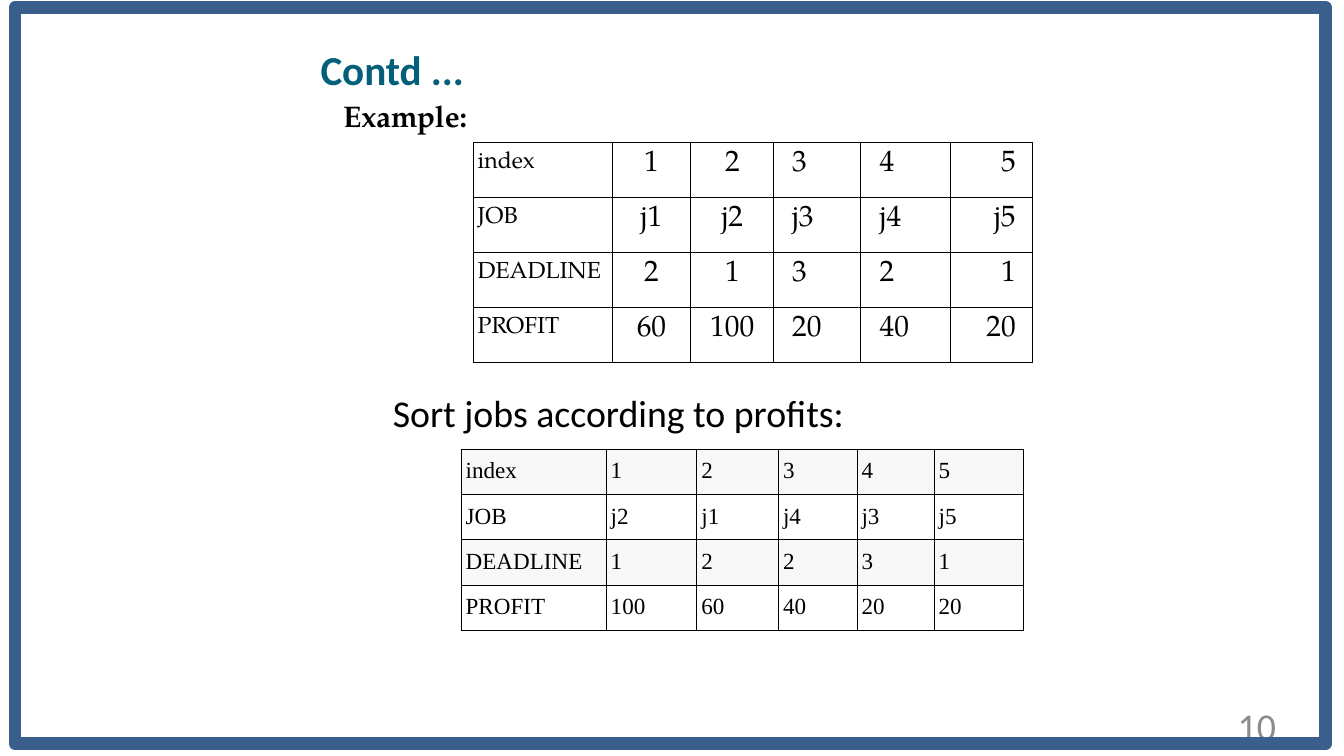
import pptx
import pptx.util
import pptx.dml.color
import pptx.enum.text
import pptx.enum.shapes
import pptx.oxml
import pptx.oxml.ns

Inches, Pt = pptx.util.Inches, pptx.util.Pt
RGB = pptx.dml.color.RGBColor
ALIGN = pptx.enum.text.PP_ALIGN
LEFT, MID, RIGHT = ALIGN.LEFT, ALIGN.CENTER, ALIGN.RIGHT

TEAL = RGB(0x04, 0x60, 0x7A)
BLACK = RGB(0, 0, 0)
GRAY = RGB(0x8C, 0x8C, 0x8C)
PALE = RGB(0xF8, 0xF8, 0xF8)
BLUE = RGB(0x3A, 0x5F, 0x8C)
SANS, BOOK, ROMAN = "Calibri", "TeX Gyre Pagella", "Times New Roman"

# Content
HEADS = [
    ("Contd ...", dict(size=19.6, font=SANS, color=TEAL, bold=True, indent=0.02, before=4.9)),
    ("Example:", dict(size=14.2, font=BOOK, bold=True, indent=0.17, before=2.3)),
]
NOTE = "Sort jobs according to profits:"
PAGE = "10"
JOBS = [
    ["index", "1", "2", "3", "4", "5"],
    ["JOB", "j1", "j2", "j3", "j4", "j5"],
    ["DEADLINE", "2", "1", "3", "2", "1"],
    ["PROFIT", "60", "100", "20", "40", "20"],
]
SORTED = [
    ["index", "1", "2", "3", "4", "5"],
    ["JOB", "j2", "j1", "j4", "j3", "j5"],
    ["DEADLINE", "1", "2", "2", "3", "1"],
    ["PROFIT", "100", "60", "40", "20", "20"],
]

# Column formats: alignment, left indent, right margin, size, top margin
LABEL = (LEFT, 0.03, 0, 11, 0.06)
JOB_COLS = [
    LABEL,
    (MID, 0, 0, 14, 0.05),
    (MID, 0, 0, 14, 0.05),
    (LEFT, 0.12, 0, 14, 0.05),
    (LEFT, 0.13, 0, 14, 0.05),
    (RIGHT, 0, 0.11, 14, 0.05),
]


def write(par, text, size=18, font=SANS, color=BLACK, bold=False,
          align=LEFT, indent=0, before=0):
    par.alignment = align
    par.space_before = Pt(before)
    props = par._p.get_or_add_pPr()
    props.set("marL", str(Inches(indent)))
    props.set("indent", "0")
    run = par.add_run()
    run.text = text
    run.font.size, run.font.name, run.font.bold = Pt(size), font, bold
    run.font.color.rgb = color


def inset(box, left=0, top=0, right=0, low=0):
    box.margin_left, box.margin_top = Inches(left), Inches(top)
    box.margin_right, box.margin_bottom = Inches(right), Inches(low)


def place(shape, left, top, width, height):
    shape.left, shape.top = Inches(left), Inches(top)
    shape.width, shape.height = Inches(width), Inches(height)


def border(cell):
    props = cell._tc.get_or_add_tcPr()
    for spot, side in enumerate(("lnL", "lnR", "lnT", "lnB")):
        props.insert(spot, pptx.oxml.parse_xml(
            f'<a:{side} {pptx.oxml.ns.nsdecls("a")} w="{Pt(0.5)}"><a:solidFill>'
            f'<a:srgbClr val="{BLACK}"/></a:solidFill></a:{side}>'))


def draw_table(slide, data, left, top, widths, high, cols, font, band=None):
    frame = slide.shapes.add_table(
        len(data), len(widths), Inches(left), Inches(top),
        Inches(sum(widths)), Inches(high * len(data)))
    table = frame.table
    table.first_row = table.horz_banding = False
    for col, width in zip(table.columns, widths):
        col.width = Inches(width)
    for r, line in enumerate(data):
        table.rows[r].height = Inches(high)
        for c, text in enumerate(line):
            align, indent, right, size, gap = cols[c]
            cell = table.cell(r, c)
            inset(cell, top=gap, right=right)
            if band and r % 2 == 0:
                cell.fill.solid()
                cell.fill.fore_color.rgb = band
            else:
                cell.fill.background()
            border(cell)
            write(cell.text_frame.paragraphs[0], text, size=size, font=font,
                  align=align, indent=indent, before=2.2)


def text_box(slide, text, spot, pad, **look):
    box = slide.shapes.add_textbox(0, 0, 0, 0)
    place(box, *spot)
    box.text_frame.word_wrap = True
    inset(box.text_frame, *pad)
    write(box.text_frame.paragraphs[0], text, **look)


def main():
    deck = pptx.Presentation()
    deck.slide_width, deck.slide_height = Inches(8.89), Inches(5)
    slide = deck.slides.add_slide(deck.slide_layouts[5])

    # Title and subhead
    title = slide.shapes.title
    place(title, 2.1, 0.22, 1.06, 0.67)
    frame = title.text_frame
    frame.auto_size = pptx.enum.text.MSO_AUTO_SIZE.NONE
    frame.vertical_anchor = pptx.enum.text.MSO_ANCHOR.TOP
    frame.word_wrap = True
    inset(frame, top=0.07)
    for i, (text, look) in enumerate(HEADS):
        write(frame.add_paragraph() if i else frame.paragraphs[0], text, **look)

    # Job tables
    draw_table(slide, JOBS, 3.13, 0.94, [0.92, 0.52, 0.55, 0.57, 0.6, 0.54],
               0.365, JOB_COLS, BOOK)
    draw_table(slide, SORTED, 3.05, 2.97, [0.96, 0.6, 0.54, 0.52, 0.51, 0.59],
               0.3, [LABEL] * 6, ROMAN, band=PALE)

    # Note and page number
    text_box(slide, NOTE, (2.5, 2.53, 3.88, 0.4), (0.1, 0.05, 0.1, 0.05))
    text_box(slide, PAGE, (6.4, 4.65, 2.04, 0.3), (0, 0, 0, 0),
             color=GRAY, align=RIGHT)

    # Slide frame
    edge = slide.shapes.add_shape(pptx.enum.shapes.MSO_SHAPE.RECTANGLE, 0, 0, 0, 0)
    place(edge, 0.1, 0.05, 8.67, 4.87)
    edge.shadow.inherit = False
    edge.fill.background()
    edge.line.color.rgb = BLUE
    edge.line.width = Pt(6)
    edge.line._get_or_add_ln().append(
        pptx.oxml.parse_xml(f'<a:round {pptx.oxml.ns.nsdecls("a")}/>'))

    deck.save("out.pptx")


if __name__ == "__main__":
    main()
